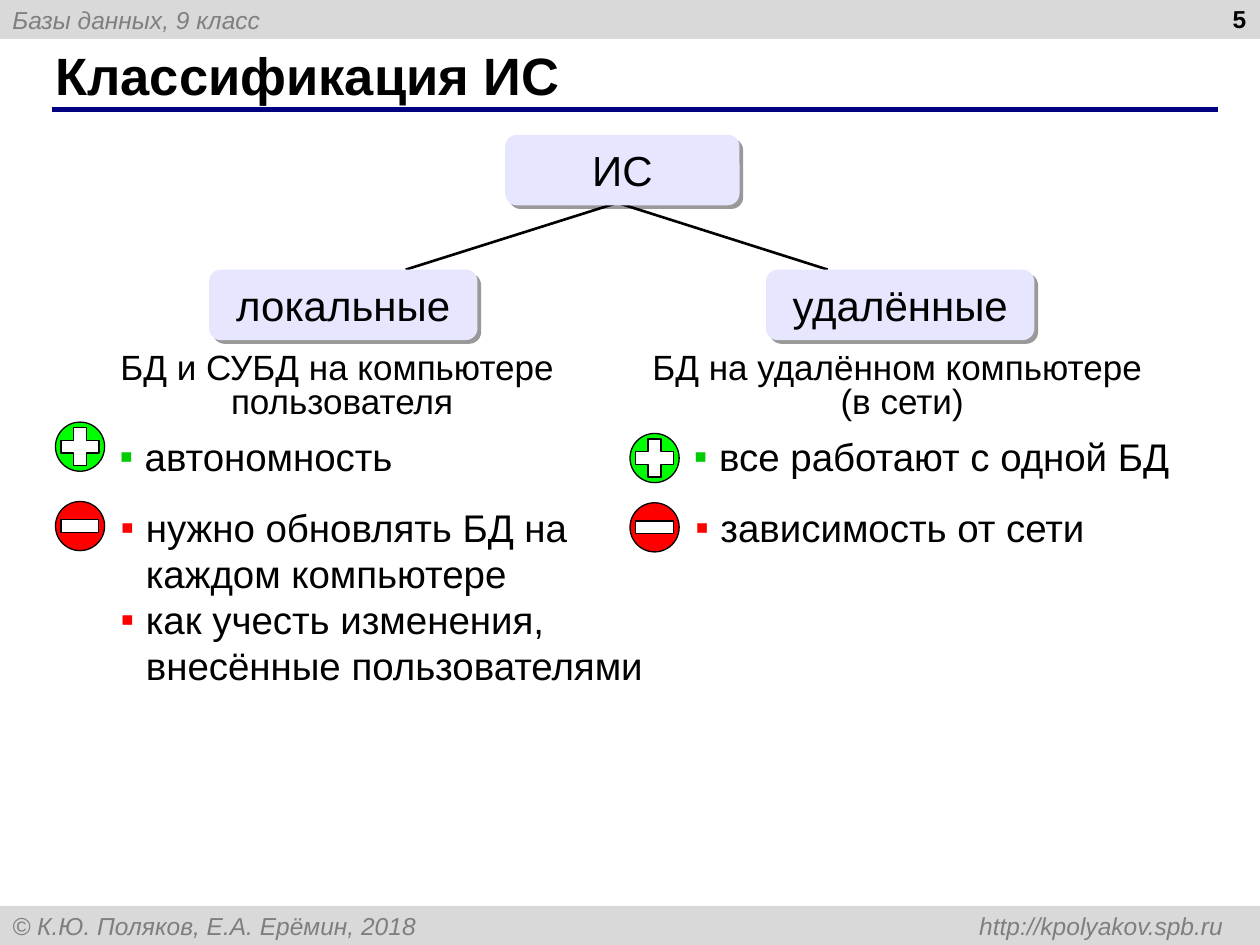
from dataclasses import dataclass

from lxml import etree
from pptx import Presentation
from pptx.dml.color import RGBColor
from pptx.enum.shapes import MSO_CONNECTOR, MSO_SHAPE
from pptx.enum.text import MSO_ANCHOR, PP_ALIGN
from pptx.oxml.ns import qn
from pptx.util import Emu, Inches, Pt

RECT, ROUND = MSO_SHAPE.RECTANGLE, MSO_SHAPE.ROUNDED_RECTANGLE
OVAL, CROSS = MSO_SHAPE.OVAL, MSO_SHAPE.CROSS
LEFT, CENTER, RIGHT = PP_ALIGN.LEFT, PP_ALIGN.CENTER, PP_ALIGN.RIGHT
TOP, MIDDLE = MSO_ANCHOR.TOP, MSO_ANCHOR.MIDDLE

BLACK = RGBColor(0, 0, 0)
WHITE = RGBColor(255, 255, 255)
GRAY = RGBColor(0x7F, 0x7F, 0x7F)
SILVER = RGBColor(0xD9, 0xD9, 0xD9)
NAVY = RGBColor(0, 0, 0x80)
LILAC = RGBColor(0xE6, 0xE6, 0xFF)
LIME = RGBColor(0, 255, 0)
GREEN = RGBColor(0, 0xCC, 0)
RED = RGBColor(255, 0, 0)
SIGN = 0.39
GLYPH = 0.3


@dataclass
class Node:
    text: str
    x: float
    y: float
    w: float


@dataclass
class Note:
    text: str
    x: float
    w: float


@dataclass
class Points:
    lines: list[str]
    x: float
    y: float
    w: float
    sign_x: float
    sign_y: float
    plus: bool


NODES = [
    Node("ИС", 4.01, 1.07, 1.86),
    Node("локальные", 1.66, 2.14, 2.13),
    Node("удалённые", 6.08, 2.14, 2.13),
]
NOTES = [
    Note("БД и СУБД на компьютере \vпользователя", 0.85, 3.73),
    Note("БД на удалённом компьютере \v(в сети)", 5.07, 4.18),
]
POINTS = [
    Points(["автономность"], 0.85, 3.39, 2.72, 0.44, 3.35, True),
    Points(["нужно обновлять БД на каждом компьютере",
            "как учесть изменения, внесённые пользователями"],
           0.86, 3.95, 4.58, 0.44, 3.98, False),
    Points(["все работают с одной БД"], 5.41, 3.39, 4.2, 5, 3.44, True),
    Points(["зависимость от сети"], 5.42, 3.95, 3.87, 5, 3.99, False),
]


def write(frame, lines: list[str], size: float, align=LEFT, anchor=TOP,
          color=BLACK, bold=False, italic=False) -> None:
    frame.word_wrap = True
    frame.vertical_anchor = anchor
    frame.text = "\n".join(lines)
    for para in frame.paragraphs:
        para.alignment = align
        font = para.font
        font.name, font.size = "Arial", Pt(size)
        font.bold, font.italic = bold, italic
        font.color.rgb = color


def add_text(slide, x: float, y: float, w: float, h: float):
    box = slide.shapes.add_textbox(Inches(x), Inches(y), Inches(w), Inches(h))
    return box.text_frame


def add_shape(slide, kind, x: float, y: float, w: float, h: float,
              fill: RGBColor, edge: float = 0):
    shape = slide.shapes.add_shape(
        kind, Inches(x), Inches(y), Inches(w), Inches(h))
    shape.shadow.inherit = False
    shape.fill.solid()
    shape.fill.fore_color.rgb = fill
    if edge:
        shape.line.color.rgb = BLACK
        shape.line.width = Pt(edge)
    else:
        shape.line.fill.background()
    return shape


def add_line(slide, x1: float, y1: float, x2: float, y2: float,
             color: RGBColor, width: float) -> None:
    line = slide.shapes.add_connector(
        MSO_CONNECTOR.STRAIGHT, Inches(x1), Inches(y1), Inches(x2), Inches(y2))
    line.line.color.rgb = color
    line.line.width = Pt(width)
    etree.SubElement(line._element.spPr, qn("a:effectLst"))


def add_bar(slide, y: float, text: str) -> None:
    bar = add_shape(slide, RECT, 0, y, 10, 0.31, SILVER)
    write(bar.text_frame, [text], 14, LEFT, MIDDLE, GRAY, italic=True)
    props = bar.text_frame.paragraphs[0]._p.get_or_add_pPr()
    tabs = etree.Element(qn("a:tabLst"))
    etree.SubElement(tabs, qn("a:tab"), pos=str(Inches(9.61)), algn="r")
    props.insert_element_before(tabs, "a:defRPr", "a:extLst")


def add_node(slide, node: Node) -> None:
    box = add_shape(slide, ROUND, node.x, node.y, node.w, 0.56, LILAC)
    write(box.text_frame, [node.text], 24, CENTER, MIDDLE)
    effects = box._element.spPr.find(qn("a:effectLst"))
    shade = etree.SubElement(effects, qn("a:outerShdw"), dist=str(Pt(3)),
                             dir="2700000", algn="ctr", rotWithShape="0")
    tone = etree.SubElement(shade, qn("a:srgbClr"), val=str(BLACK))
    etree.SubElement(tone, qn("a:alpha"), val="40000")


def add_note(slide, note: Note) -> None:
    frame = add_text(slide, note.x, 2.76, note.w, 0.64)
    write(frame, [note.text], 20, CENTER)
    frame.word_wrap = False
    frame.paragraphs[0].line_spacing = 0.8


def add_sign(slide, x: float, y: float, plus: bool) -> None:
    add_shape(slide, OVAL, x, y, SIGN, SIGN, LIME if plus else RED, 0.75)
    high = GLYPH if plus else GLYPH / 3
    glyph = add_shape(slide, CROSS if plus else RECT, x + (SIGN - GLYPH) / 2,
                      y + (SIGN - high) / 2, GLYPH, high, WHITE, 0.75)
    if plus:
        glyph.adjustments[0] = 0.33


def add_points(slide, item: Points) -> None:
    add_sign(slide, item.sign_x, item.sign_y, item.plus)
    frame = add_text(slide, item.x, item.y, item.w, 0.48 * len(item.lines))
    write(frame, item.lines, 22)
    tone = GREEN if item.plus else RED
    for para in frame.paragraphs:
        props = para._p.get_or_add_pPr()
        props.set("marL", str(Inches(0.2)))
        props.set("indent", str(Emu(-Inches(0.2))))
        color = etree.Element(qn("a:buClr"))
        etree.SubElement(color, qn("a:srgbClr"), val=str(tone))
        face = etree.Element(qn("a:buFont"), typeface="Arial")
        mark = etree.Element(qn("a:buChar"), char="▪")
        for part in (color, face, mark):
            props.insert_element_before(part, "a:tabLst", "a:defRPr")


def main() -> None:
    deck = Presentation()
    deck.slide_width, deck.slide_height = Inches(10), Inches(7.5)
    slide = deck.slides.add_slide(deck.slide_layouts[5])

    # Header, footer and page number
    add_bar(slide, 0, "Базы данных, 9 класс")
    add_bar(slide, 7.19, "© К.Ю. Поляков, Е.А. Ерёмин, 2018\thttp://kpolyakov.spb.ru")
    write(add_text(slide, 7.66, -0.02, 2.33, 0.36), ["5"], 14, RIGHT, bold=True)

    # Title with its rule
    title = slide.shapes.title
    title.left, title.top = Inches(0.34), Inches(0.33)
    title.width, title.height = Inches(9.16), Inches(0.52)
    write(title.text_frame, ["Классификация ИС"], 30, LEFT, MIDDLE, bold=True)
    add_line(slide, 0.41, 0.87, 9.67, 0.87, NAVY, 3)

    # Tree: branches lie behind the boxes
    for end in (3.22, 6.57):
        add_line(slide, 4.9, 1.61, end, 2.14, BLACK, 1.5)
    for node in NODES:
        add_node(slide, node)

    # Descriptions, pros and cons
    for note in NOTES:
        add_note(slide, note)
    for item in POINTS:
        add_points(slide, item)

    deck.save("out.pptx")


if __name__ == "__main__":
    main()
